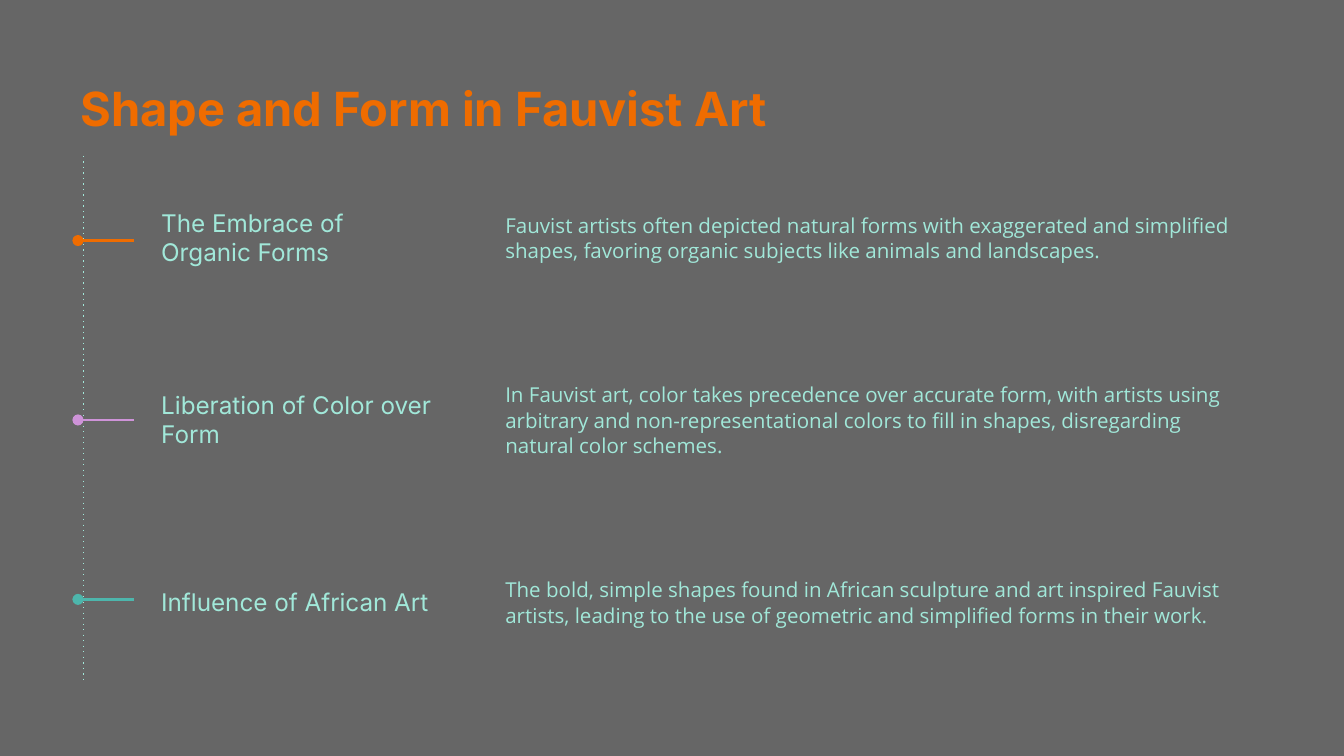
import pptx
import pptx.util
import pptx.dml.color
import pptx.enum.shapes
import pptx.enum.text
import pptx.oxml.ns
import lxml.etree

Inches = pptx.util.Inches

TITLE = "Shape and Form in Fauvist Art"
TOPICS = [
    ("The Embrace of Organic Forms",
     "Fauvist artists often depicted natural forms with exaggerated and simplified shapes, "
     "favoring organic subjects like animals and landscapes.",
     "EF6C00"),
    ("Liberation of Color over Form",
     "In Fauvist art, color takes precedence over accurate form, with artists using arbitrary "
     "and non-representational colors to fill in shapes, disregarding natural color schemes.",
     "CE93D8"),
    ("Influence of African Art",
     "The bold, simple shapes found in African sculpture and art inspired Fauvist artists, "
     "leading to the use of geometric and simplified forms in their work.",
     "4DB6AC"),
]
BACKGROUND, ORANGE, MINT = "666666", "EF6C00", "A1E8D9"
TOP, BOTTOM, ROW_HEIGHT = 1.16, 5.08, 1.21
ROW_PITCH = (BOTTOM - TOP - ROW_HEIGHT) / (len(TOPICS) - 1)
FIRST_MARKER, LAST_MARKER = 1.79, 4.46
MARKER_PITCH = (LAST_MARKER - FIRST_MARKER) / (len(TOPICS) - 1)


def color(value):
    return pptx.dml.color.RGBColor.from_string(value)


def add_text(slide, text, box, font_name, size, fill, left_inset=0.1, right_inset=0.1,
             bold=False, line_spacing=None, space_after=0):
    frame = slide.shapes.add_textbox(*map(Inches, box)).text_frame
    frame.word_wrap = True
    frame.vertical_anchor = pptx.enum.text.MSO_ANCHOR.MIDDLE
    frame.margin_left, frame.margin_right = Inches(left_inset), Inches(right_inset)
    frame.margin_top = frame.margin_bottom = Inches(0.1)
    paragraph = frame.paragraphs[0]
    paragraph.text = text
    paragraph.line_spacing = line_spacing
    paragraph.space_after = pptx.util.Pt(space_after)
    paragraph.font.name = font_name
    paragraph.font.size = pptx.util.Pt(size)
    paragraph.font.bold = bold
    paragraph.font.color.rgb = color(fill)


def add_line(slide, start, end, stroke, width, detail, **attributes):
    connector = slide.shapes.add_connector(
        pptx.enum.shapes.MSO_CONNECTOR.STRAIGHT, *map(Inches, start + end))
    connector.line.color.rgb = color(stroke)
    connector.line.width = pptx.util.Pt(width)
    outline = connector.line._get_or_add_ln()
    lxml.etree.SubElement(outline, pptx.oxml.ns.qn(detail), **attributes)
    lxml.etree.SubElement(outline.getparent(), pptx.oxml.ns.qn("a:effectLst"))


def main():
    presentation = pptx.Presentation()
    presentation.slide_width = Inches(10)
    presentation.slide_height = presentation.slide_width * 9 // 16
    slide = presentation.slides.add_slide(presentation.slide_layouts[6])
    slide.background.fill.solid()
    slide.background.fill.fore_color.rgb = color(BACKGROUND)

    add_text(slide, TITLE, (0.5, 0.49, 9, 0.63), "Inter", 25.2, ORANGE, bold=True)
    add_line(slide, (0.62, TOP), (0.62, BOTTOM), MINT, 0.75, "a:prstDash", val="dot")

    for index, (heading, description, accent) in enumerate(TOPICS):
        top = TOP + index * ROW_PITCH
        add_text(slide, heading, (1, top, 2.37, ROW_HEIGHT), "Inter", 13, MINT,
                 left_inset=0.2, space_after=10)
        add_text(slide, description, (3.36, top, 6.14, ROW_HEIGHT), "Open Sans", 11, MINT,
                 left_inset=0.4, right_inset=0.2, line_spacing=1.05, space_after=10)
        marker_y = FIRST_MARKER + index * MARKER_PITCH
        add_line(slide, (0.58, marker_y), (1, marker_y), accent, 1.5, "a:headEnd", type="oval")

    presentation.save("out.pptx")


if __name__ == "__main__":
    main()
